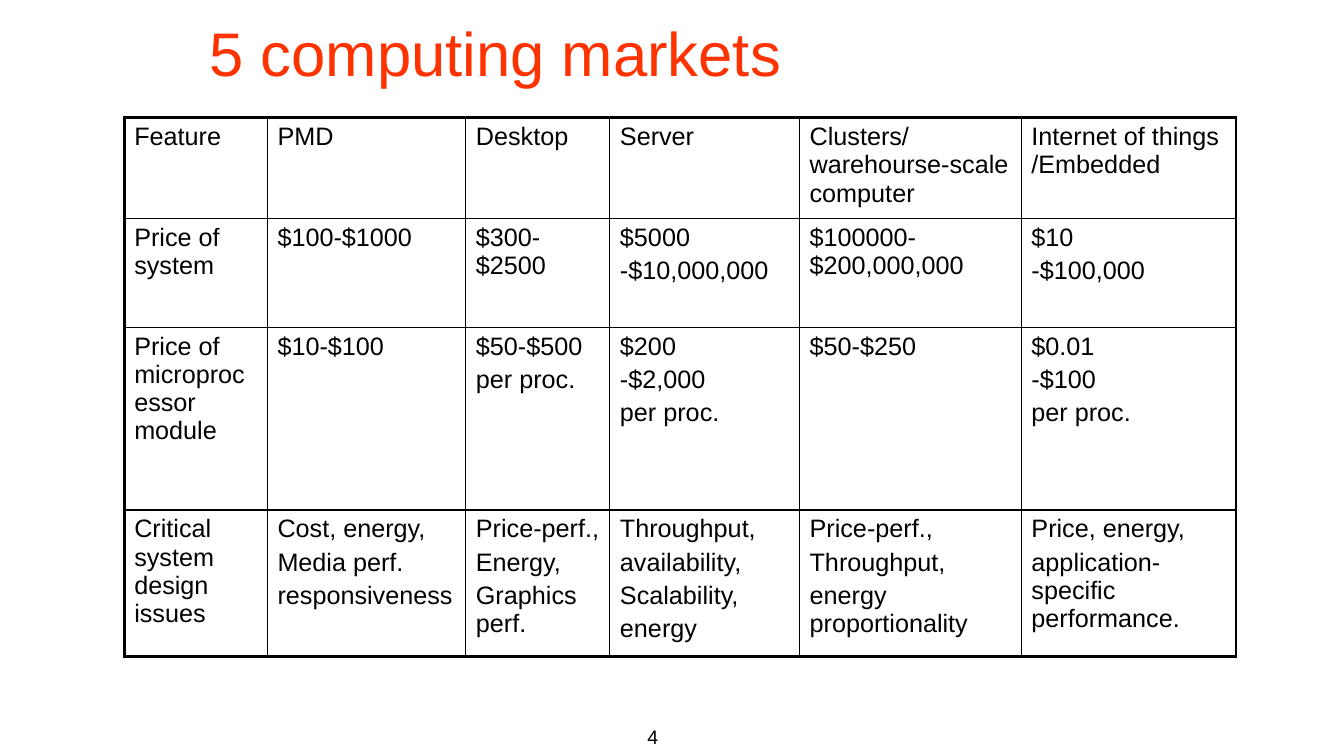
from dataclasses import dataclass

from lxml.etree import SubElement
from pptx import Presentation
from pptx.dml.color import RGBColor
from pptx.enum.shapes import MSO_SHAPE
from pptx.enum.text import MSO_ANCHOR, PP_ALIGN
from pptx.oxml.ns import qn
from pptx.util import Cm, Pt

TITLE = "5 computing markets"
PAGE_NUMBER = "4"

# Each cell is a list of paragraphs separated by line breaks.
MARKETS = [
    ["Feature", "PMD", "Desktop", "Server",
     "Clusters/ warehourse-scale computer", "Internet of things /Embedded"],
    ["Price of system", "$100-$1000", "$300-$2500", "$5000\n-$10,000,000",
     "$100000-$200,000,000", "$10\n-$100,000"],
    ["Price of microprocessor module", "$10-$100", "$50-$500\nper proc.",
     "$200\n-$2,000\nper proc.", "$50-$250", "$0.01\n-$100\nper proc."],
    ["Critical system design issues", "Cost, energy,\nMedia perf.\nresponsiveness",
     "Price-perf.,\nEnergy,\nGraphics perf.",
     "Throughput,\navailability,\nScalability,\nenergy",
     "Price-perf.,\nThroughput,\nenergy proportionality",
     "Price, energy,\napplication-specific performance."],
]
COL_WIDTHS = [3.61, 5, 3.63, 4.78, 5.59, 5.41]
ROW_HEIGHTS = [1.47, 2.74, 4.6, 3.66]


@dataclass(frozen=True)
class Theme:
    font: str = "Arial"
    title_color: str = "FF3300"
    title_fill: str = "FFFFFF"
    ink: str = "000000"
    title_size: float = 44
    cell_size: float = 18
    number_size: float = 14
    paragraph_gap: float = 3.6
    outer_line: float = 2.25
    inner_line: float = 1


THEME = Theme()


def write(tf, text, size, color, align=PP_ALIGN.LEFT):
    tf.text = text
    tf.word_wrap = True
    for i, p in enumerate(tf.paragraphs):
        p.alignment = align
        p.space_before = Pt(THEME.paragraph_gap if i else 0)
        for r in p.runs:
            r.font.name = THEME.font
            r.font.size = Pt(size)
            r.font.color.rgb = RGBColor.from_string(color)


def add_title(slide, left, top, width, height):
    s = slide.shapes.add_shape(
        MSO_SHAPE.RECTANGLE, Cm(left), Cm(top), Cm(width), Cm(height))
    s.shadow.inherit = False
    s.fill.solid()
    s.fill.fore_color.rgb = RGBColor.from_string(THEME.title_fill)
    s.line.fill.background()
    write(s.text_frame, TITLE, THEME.title_size, THEME.title_color)
    s.text_frame.vertical_anchor = MSO_ANCHOR.MIDDLE


def add_page_number(slide, left, top, width, height):
    s = slide.shapes.add_textbox(Cm(left), Cm(top), Cm(width), Cm(height))
    write(s.text_frame, PAGE_NUMBER, THEME.number_size, THEME.ink, PP_ALIGN.RIGHT)


def set_borders(cell, outer_sides):
    """Draw all four sides, thicker on the table's outer edge."""
    tc_pr = cell._tc.get_or_add_tcPr()
    for side in "LRTB":
        width = THEME.outer_line if side in outer_sides else THEME.inner_line
        ln = SubElement(tc_pr, qn(f"a:ln{side}"), w=str(Pt(width)))
        fill = SubElement(ln, qn("a:solidFill"))
        SubElement(fill, qn("a:srgbClr"), val=THEME.ink)


def add_market_table(slide, left, top):
    n_rows, n_cols = len(MARKETS), len(COL_WIDTHS)
    table = slide.shapes.add_table(
        n_rows, n_cols, Cm(left), Cm(top),
        Cm(sum(COL_WIDTHS)), Cm(sum(ROW_HEIGHTS))).table
    table.first_row = table.horz_banding = False
    for column, width in zip(table.columns, COL_WIDTHS):
        column.width = Cm(width)
    for row, height in zip(table.rows, ROW_HEIGHTS):
        row.height = Cm(height)

    for i, row in enumerate(MARKETS):
        for j, text in enumerate(row):
            cell = table.cell(i, j)
            on_edge = {"L": j == 0, "R": j == n_cols - 1,
                       "T": i == 0, "B": i == n_rows - 1}
            write(cell.text_frame, text, THEME.cell_size, THEME.ink)
            set_borders(cell, [side for side, outer in on_edge.items() if outer])
            cell.fill.background()


def main():
    prs = Presentation()
    prs.slide_width, prs.slide_height = Cm(33.87), Cm(19.05)
    slide = prs.slides.add_slide(prs.slide_layouts[6])
    add_page_number(slide, 9.78, 18.13, 7.06, 1.27)
    add_title(slide, 5.03, 0.01, 23.95, 2.6)
    add_market_table(slide, 3.13, 2.97)
    prs.save("out.pptx")


if __name__ == "__main__":
    main()
